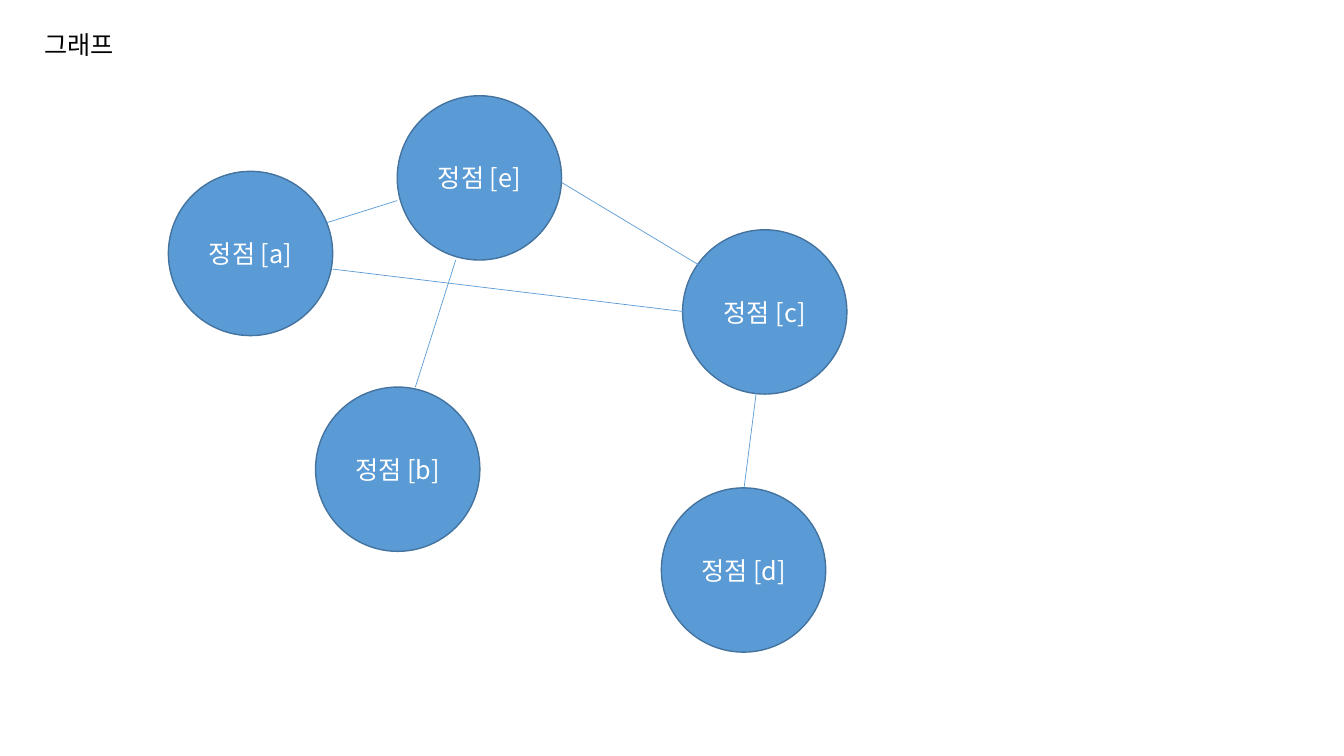
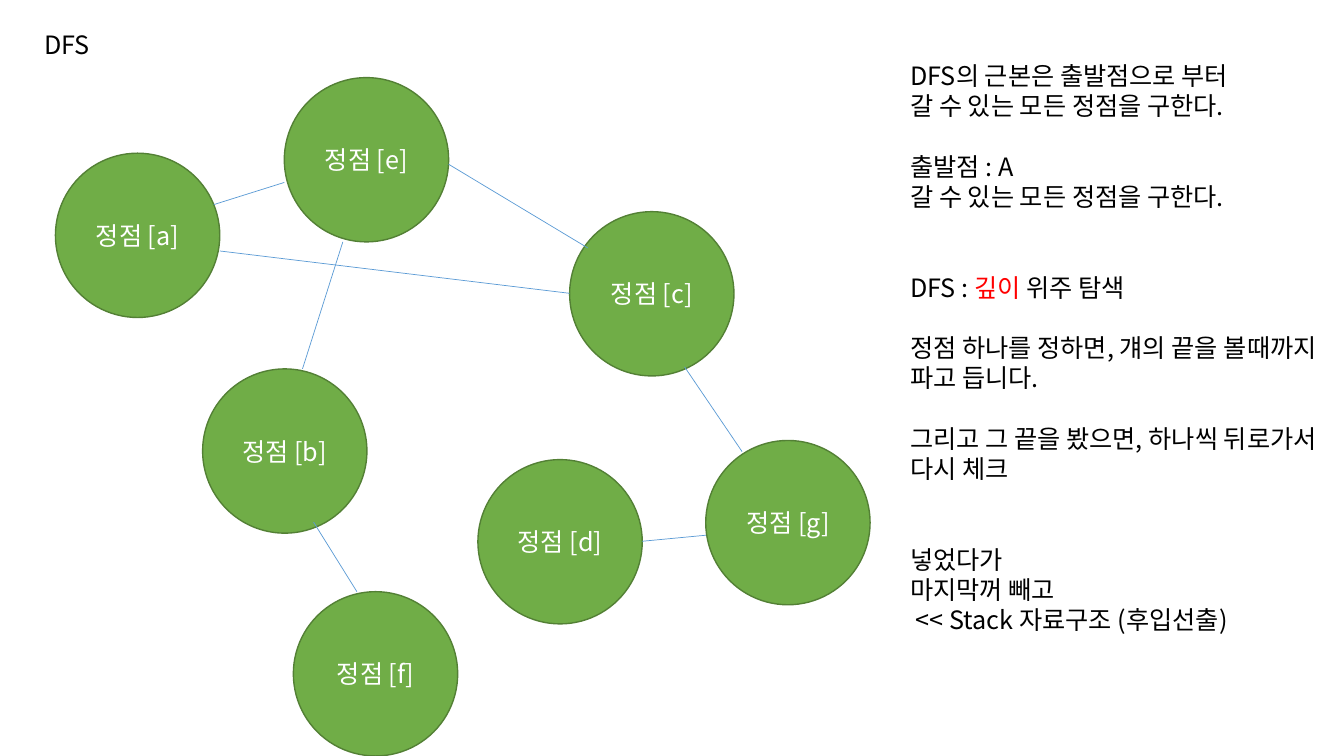
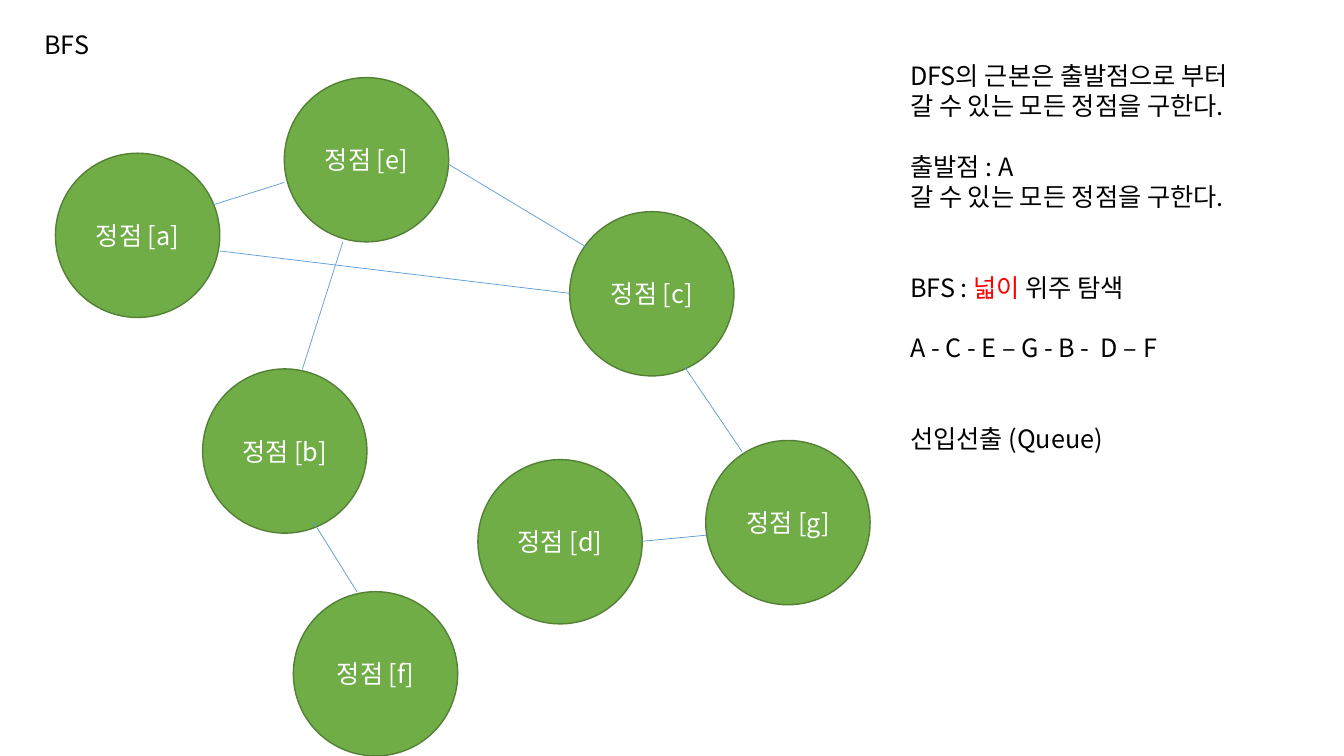
"""Build three slides on graphs, depth-first search and breadth-first search."""
from dataclasses import dataclass

from lxml import etree
from pptx import Presentation
from pptx.dml.color import RGBColor
from pptx.enum.shapes import MSO_CONNECTOR, MSO_SHAPE
from pptx.enum.text import MSO_ANCHOR, MSO_AUTO_SIZE, PP_ALIGN
from pptx.oxml.ns import qn
from pptx.slide import Slide
from pptx.text.text import _Paragraph
from pptx.util import Inches, Pt

OVAL = MSO_SHAPE.OVAL
STRAIGHT = MSO_CONNECTOR.STRAIGHT
CENTER = PP_ALIGN.CENTER
MIDDLE = MSO_ANCHOR.MIDDLE
FIT = MSO_AUTO_SIZE.SHAPE_TO_FIT_TEXT

FONT = "Noto Sans CJK KR"
SIZE = 18
PITCH = 21.6
DIAM = 1.63
BLACK, WHITE, RED = "000000", "FFFFFF", "FF0000"
BLUE, NAVY = "5B9BD5", "43739E"
GREEN, MOSS = "70AD47", "538035"


@dataclass(frozen=True)
class Node:
    name: str
    left: float
    top: float


@dataclass(frozen=True)
class Edge:
    x1: float
    y1: float
    x2: float
    y2: float


@dataclass(frozen=True)
class Note:
    text: str
    gap: int = 0
    key: str = ""
    rest: str = ""


@dataclass(frozen=True)
class Graph:
    nodes: list[Node]
    edges: list[Edge]
    fill: str
    rim: str
    dx: float = 0
    dy: float = 0


@dataclass(frozen=True)
class Page:
    title: str
    width: float
    graph: Graph
    notes: list[Note]
    span: float = 0
    height: float = 0


CORE = [
    Node("a", 0.55, 1.52),
    Node("b", 2.01, 3.66),
    Node("c", 5.65, 2.1),
    Node("e", 2.82, 0.77),
]
LINKS = [
    Edge(2.12, 2.03, 2.82, 1.81),
    Edge(4.45, 1.63, 5.83, 2.46),
    Edge(3.4, 2.4, 3, 3.66),
    Edge(2.18, 2.49, 5.65, 2.91),
]
SMALL = Graph(
    CORE + [Node("d", 5.44, 4.66)],
    LINKS + [Edge(6.38, 3.72, 6.26, 4.66)],
    BLUE, NAVY, 1.12, 0.18,
)
LARGE = Graph(
    CORE + [Node("f", 2.91, 5.87), Node("g", 7, 4.37), Node("d", 4.74, 4.56)],
    LINKS + [
        Edge(3.11, 5.18, 3.54, 5.87),
        Edge(6.79, 3.64, 7.36, 4.48),
        Edge(7, 5.31, 6.37, 5.37),
    ],
    GREEN, MOSS,
)
INTRO = [
    Note("DFS의 근본은 출발점으로 부터"),
    Note("갈 수 있는 모든 정점을 구한다."),
    Note("출발점 : A", 1),
    Note("갈 수 있는 모든 정점을 구한다."),
]
DEPTH = INTRO + [
    Note("DFS : ", 2, "깊이", " 위주 탐색"),
    Note("정점 하나를 정하면, 걔의 끝을 볼때까지", 1),
    Note("파고 듭니다."),
    Note("그리고 그 끝을 봤으면, 하나씩 뒤로가서", 1),
    Note("다시 체크"),
    Note("넣었다가", 2),
    Note("마지막꺼 빼고"),
    Note(" << Stack 자료구조 (후입선출)"),
]
BREADTH = INTRO + [
    Note("BFS : ", 2, "넓이", " 위주 탐색"),
    Note("A - C - E – G - B -  D – F", 1),
    Note("선입선출 (Queue)", 2),
]
PAGES = [
    Page("그래프", 0.96, SMALL, []),
    Page("DFS", 0.68, LARGE, DEPTH, 4.52, 6.16),
    Page("BFS", 0.67, LARGE, BREADTH, 3.56, 4.04),
]


def rgb(code: str) -> RGBColor:
    """Turn a hex string into a colour."""
    return RGBColor.from_string(code)


def style(para: _Paragraph, color: str, key: str = "") -> None:
    """Format a paragraph and its runs, with the key run in red."""
    para.line_spacing = Pt(PITCH)
    for run in para.runs:
        run.font.size = Pt(SIZE)
        run.font.color.rgb = rgb(RED if key and run.text == key else color)
        run.font.name = FONT
        props = run.font._element
        etree.SubElement(props, qn("a:ea")).set("typeface", FONT)


def write(slide: Slide, left: float, top: float, width: float, height: float,
          notes: list[Note]) -> None:
    """Add a text box with one paragraph for each note."""
    box = slide.shapes.add_textbox(
        Inches(left), Inches(top), Inches(width), Inches(height))
    frame = box.text_frame
    frame.word_wrap = False
    frame.auto_size = FIT
    frame.text = "\n".join(note.text for note in notes)
    for para, note in zip(frame.paragraphs, notes):
        for part in filter(None, (note.key, note.rest)):
            para.add_run().text = part
        para.space_before = Pt(PITCH * note.gap)
        style(para, BLACK, note.key)


def draw(slide: Slide, graph: Graph) -> None:
    """Draw the nodes and edges of a graph."""
    for node in graph.nodes:
        disc = slide.shapes.add_shape(
            OVAL, Inches(node.left + graph.dx), Inches(node.top + graph.dy),
            Inches(DIAM), Inches(DIAM))
        disc.shadow.inherit = False
        disc.fill.solid()
        disc.fill.fore_color.rgb = rgb(graph.fill)
        disc.line.color.rgb = rgb(graph.rim)
        disc.line.width = Pt(1)
        frame = disc.text_frame
        frame.vertical_anchor = MIDDLE
        frame.text = f"정점 [{node.name}]"
        para = frame.paragraphs[0]
        para.alignment = CENTER
        style(para, WHITE)
    for edge in graph.edges:
        line = slide.shapes.add_connector(
            STRAIGHT,
            Inches(edge.x1 + graph.dx), Inches(edge.y1 + graph.dy),
            Inches(edge.x2 + graph.dx), Inches(edge.y2 + graph.dy))
        line.line.color.rgb = rgb(BLUE)
        line.line.width = Pt(0.5)
        etree.SubElement(line._element.spPr, qn("a:effectLst"))


def main() -> None:
    """Build and save the slides."""
    deck = Presentation()
    deck.slide_width = Inches(13.33)
    deck.slide_height = Inches(7.5)
    for page in PAGES:
        slide = deck.slides.add_slide(deck.slide_layouts[6])
        draw(slide, page.graph)
        write(slide, 0.34, 0.24, page.width, 0.4, [Note(page.title)])
        if page.notes:
            write(slide, 8.93, 0.55, page.span, page.height, page.notes)
    deck.save("out.pptx")


if __name__ == "__main__":
    main()
